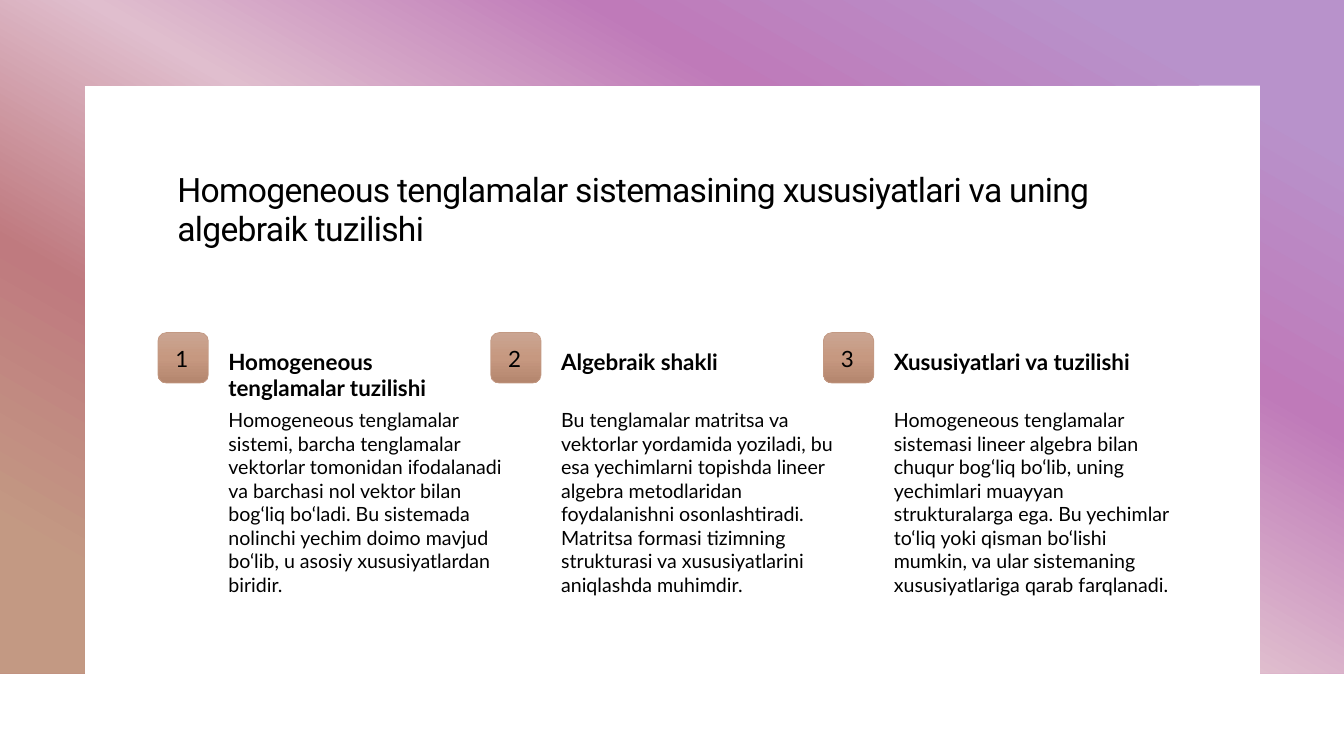
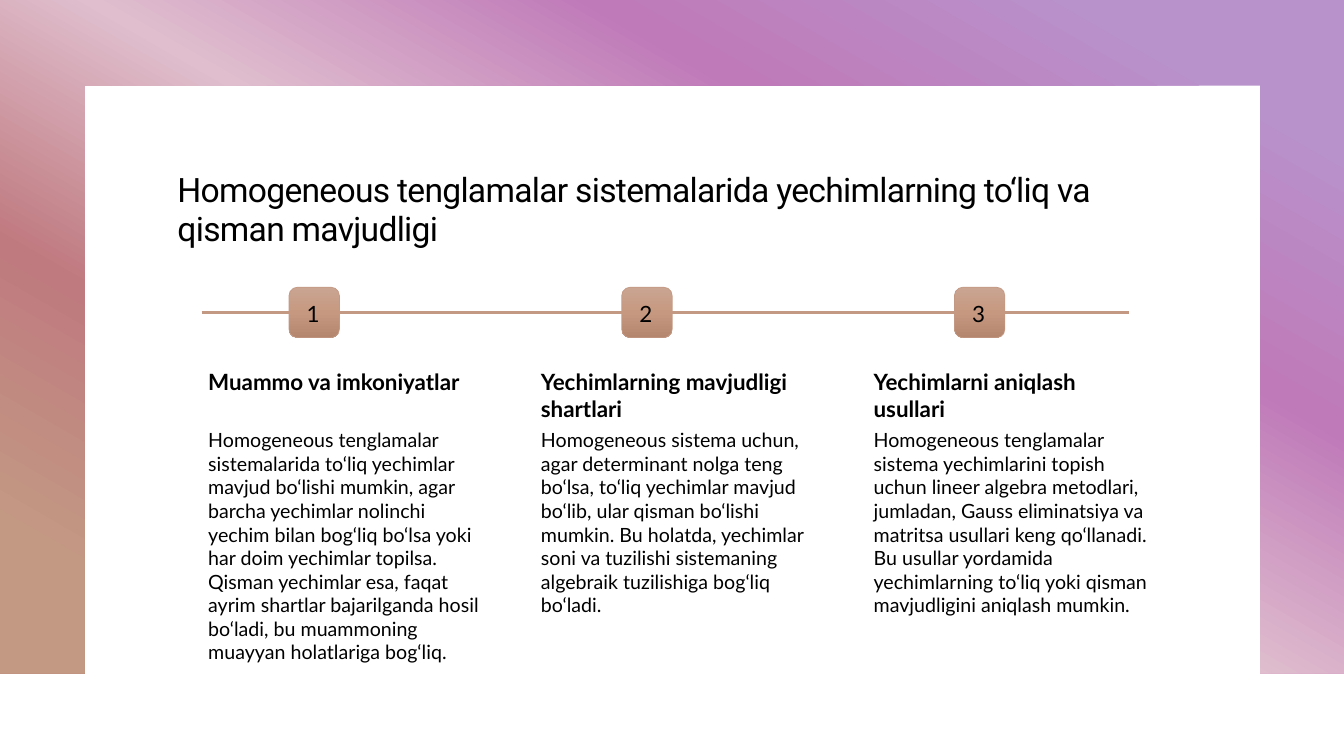
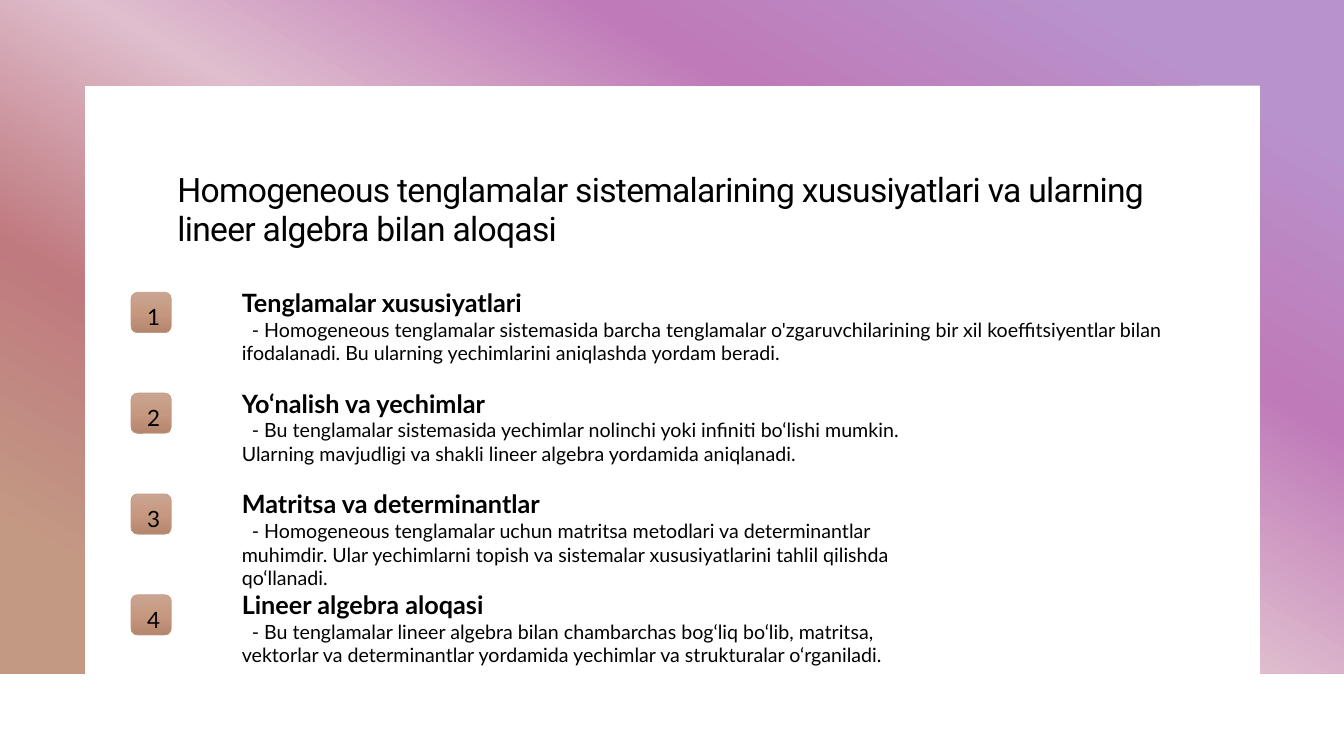
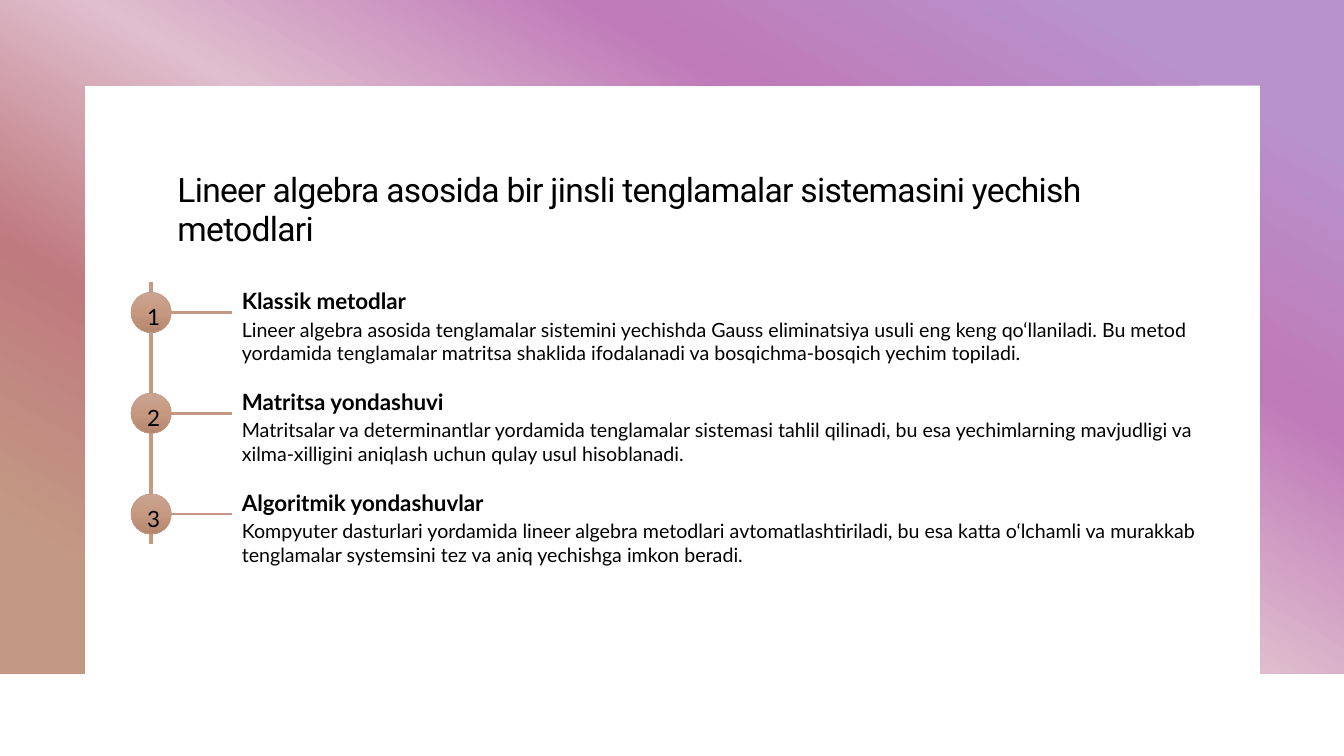
"""Build four slides on homogeneous systems of linear equations."""
from dataclasses import dataclass
from typing import Optional

from lxml.etree import SubElement
from pptx import Presentation
from pptx.dml.color import RGBColor
from pptx.enum.shapes import MSO_CONNECTOR, MSO_SHAPE
from pptx.enum.text import MSO_ANCHOR, MSO_AUTO_SIZE, PP_ALIGN
from pptx.oxml.ns import qn
from pptx.presentation import Presentation as PresentationType
from pptx.shapes.autoshape import Shape
from pptx.slide import Slide, SlideLayout
from pptx.text.text import _Paragraph as Paragraph
from pptx.util import Emu, Inches, Pt

COLOURS = {
    "text": "000000",
    "accent": "C39983",
    "accent_light": "CAA592",
    "accent_mid": "C69880",
    "accent_dark": "B4866E",
    "lilac": "B892CB",
    "orchid": "BF7AB9",
    "blush": "E0BECE",
    "rose": "BF7A7F",
}
FRAME_STOPS = [(10, "lilac"), (30, "orchid"), (50, "blush"), (70, "rose"), (90, "accent")]
MARKER_STOPS = [(0, "accent_light"), (50, "accent_mid"), (100, "accent_dark")]
TITLE_FONT, BODY_FONT = "Roboto", "Lato"
CELL = Inches(0.1)
WIDTH, HEIGHT = Inches(13.33), Inches(7.5)
TITLE_ONLY = 5


@dataclass(frozen=True)
class Arrangement:
    """Places of a numbered series, in grid cells; offsets run from the marker."""

    left: float
    top: float
    step_across: float
    step_down: float
    marker: MSO_SHAPE
    marker_size: float
    offset_across: float
    heading_down: float
    body_down: float
    heading_width: float
    body_width: float
    body_height: float
    heading_points: int = 16
    first_indent: float = 0
    branch_length: float = 0


@dataclass(frozen=True)
class Item:
    """A heading and its explanation."""

    heading: str
    body: str
    body_width: Optional[float] = None


@dataclass(frozen=True)
class Line:
    """A straight line between two grid points."""

    start: tuple[float, float]
    end: tuple[float, float]
    points: float = 2


@dataclass(frozen=True)
class Page:
    """The content of one slide."""

    title: str
    arrangement: Arrangement
    items: list[Item]
    axis: Optional[Line] = None


COLUMNS = Arrangement(15.67, 33, 33, 0, MSO_SHAPE.ROUNDED_RECTANGLE, 5, 6, 1, 7, 27, 30, 20)
TIMELINE = Arrangement(28.67, 28.5, 33, 0, MSO_SHAPE.ROUNDED_RECTANGLE, 5, -9, 7.5, 13.5, 27, 30, 20)
ROWS = Arrangement(13, 29, 0, 10, MSO_SHAPE.ROUNDED_RECTANGLE, 4, 10, -1, 2, 70, 70, 10,
                   heading_points=18, first_indent=1)
BRANCHES = Arrangement(13, 29, 0, 10, MSO_SHAPE.OVAL, 4, 10, -1, 2, 70, 100, 10, branch_length=8)

PAGES = [
    Page("Homogeneous tenglamalar sistemasining xususiyatlari va uning algebraik tuzilishi", COLUMNS, [
        Item("Homogeneous tenglamalar tuzilishi",
             "Homogeneous tenglamalar sistemi, barcha tenglamalar vektorlar tomonidan ifodalanadi va "
             "barchasi nol vektor bilan bog‘liq bo‘ladi. Bu sistemada nolinchi yechim doimo mavjud "
             "bo‘lib, u asosiy xususiyatlardan biridir."),
        Item("Algebraik shakli",
             "Bu tenglamalar matritsa va vektorlar yordamida yoziladi, bu esa yechimlarni topishda "
             "lineer algebra metodlaridan foydalanishni osonlashtiradi. Matritsa formasi tizimning "
             "strukturasi va xususiyatlarini aniqlashda muhimdir."),
        Item("Xususiyatlari va tuzilishi",
             "Homogeneous tenglamalar sistemasi lineer algebra bilan chuqur bog‘liq bo‘lib, uning "
             "yechimlari muayyan strukturalarga ega. Bu yechimlar to‘liq yoki qisman bo‘lishi mumkin, "
             "va ular sistemaning xususiyatlariga qarab farqlanadi."),
    ]),
    Page("Homogeneous tenglamalar sistemalarida yechimlarning to‘liq va qisman mavjudligi", TIMELINE, [
        Item("Muammo va imkoniyatlar",
             "Homogeneous tenglamalar sistemalarida to‘liq yechimlar mavjud bo‘lishi mumkin, agar "
             "barcha yechimlar nolinchi yechim bilan bog‘liq bo‘lsa yoki har doim yechimlar topilsa. "
             "Qisman yechimlar esa, faqat ayrim shartlar bajarilganda hosil bo‘ladi, bu muammoning "
             "muayyan holatlariga bog‘liq."),
        Item("Yechimlarning mavjudligi shartlari",
             "Homogeneous sistema uchun, agar determinant nolga teng bo‘lsa, to‘liq yechimlar mavjud "
             "bo‘lib, ular qisman bo‘lishi mumkin. Bu holatda, yechimlar soni va tuzilishi sistemaning "
             "algebraik tuzilishiga bog‘liq bo‘ladi."),
        Item("Yechimlarni aniqlash usullari",
             "Homogeneous tenglamalar sistema yechimlarini topish uchun lineer algebra metodlari, "
             "jumladan, Gauss eliminatsiya va matritsa usullari keng qo‘llanadi. Bu usullar yordamida "
             "yechimlarning to‘liq yoki qisman mavjudligini aniqlash mumkin."),
    ], Line((20, 31), (112, 31))),
    Page("Homogeneous tenglamalar sistemalarining xususiyatlari va ularning lineer algebra bilan aloqasi", ROWS, [
        Item("Tenglamalar xususiyatlari",
             "- Homogeneous tenglamalar sistemasida barcha tenglamalar o'zgaruvchilarining bir xil "
             "koeffitsiyentlar bilan ifodalanadi. Bu ularning yechimlarini aniqlashda yordam beradi.",
             100),
        Item("Yo‘nalish va yechimlar",
             "- Bu tenglamalar sistemasida yechimlar nolinchi yoki infiniti bo‘lishi mumkin. "
             "Ularning mavjudligi va shakli lineer algebra yordamida aniqlanadi."),
        Item("Matritsa va determinantlar",
             "- Homogeneous tenglamalar uchun matritsa metodlari va determinantlar muhimdir. Ular "
             "yechimlarni topish va sistemalar xususiyatlarini tahlil qilishda qo‘llanadi."),
        Item("Lineer algebra aloqasi",
             "- Bu tenglamalar lineer algebra bilan chambarchas bog‘liq bo‘lib, matritsa, vektorlar "
             "va determinantlar yordamida yechimlar va strukturalar o‘rganiladi."),
    ]),
    Page("Lineer algebra asosida bir jinsli tenglamalar sistemasini yechish metodlari", BRANCHES, [
        Item("Klassik metodlar",
             "Lineer algebra asosida tenglamalar sistemini yechishda Gauss eliminatsiya usuli eng keng "
             "qo‘llaniladi. Bu metod yordamida tenglamalar matritsa shaklida ifodalanadi va "
             "bosqichma-bosqich yechim topiladi."),
        Item("Matritsa yondashuvi",
             "Matritsalar va determinantlar yordamida tenglamalar sistemasi tahlil qilinadi, bu esa "
             "yechimlarning mavjudligi va xilma-xilligini aniqlash uchun qulay usul hisoblanadi."),
        Item("Algoritmik yondashuvlar",
             "Kompyuter dasturlari yordamida lineer algebra metodlari avtomatlashtiriladi, bu esa katta "
             "o‘lchamli va murakkab tenglamalar systemsini tez va aniq yechishga imkon beradi."),
    ], Line((15, 28), (15, 54), 3)),
]


def cells(count: float) -> Emu:
    """Return the length of a number of grid cells."""
    return Emu(round(count * CELL))


def colour(name: str) -> RGBColor:
    """Return a named colour."""
    return RGBColor.from_string(COLOURS[name])


def fill_gradient(shape: Shape, stops: list[tuple[int, str]], angle: int) -> None:
    """Fill a shape with a linear gradient; the angle runs clockwise."""
    shape.fill.gradient()
    gradient = shape.element.spPr.find(qn("a:gradFill"))
    stop_list = gradient.find(qn("a:gsLst"))
    for stop in list(stop_list):
        stop_list.remove(stop)
    for position, name in stops:
        stop = SubElement(stop_list, qn("a:gs"), pos=str(position * 1000))
        SubElement(stop, qn("a:srgbClr"), val=COLOURS[name])
    direction = gradient.find(qn("a:lin"))
    direction.set("ang", str(angle * 60000))
    direction.set("scaled", "0")


def format_font(paragraph: Paragraph, name: str, points: int, bold: bool = False) -> None:
    """Set the font of a whole paragraph."""
    font = paragraph.font
    font.name, font.size, font.bold = name, Pt(points), bold
    font.color.rgb = colour("text")


def clear_footers(layout: SlideLayout) -> None:
    """Remove the unused placeholders of the layout, keeping its title."""
    for placeholder in list(layout.placeholders):
        if placeholder.placeholder_format.idx:
            layout.placeholders.element.remove(placeholder.element)


def add_frame(slide: Slide) -> None:
    """Draw the gradient frame at the back of the slide."""
    bottom = Inches(6.68)
    inner_left, inner_top, inner_right = Inches(0.84), Inches(0.85), Inches(12.5)
    builder = slide.shapes.build_freeform(0, 0)
    builder.add_line_segments([
        (WIDTH, 0), (WIDTH, bottom), (inner_right, bottom), (inner_right, inner_top),
        (inner_left, inner_top), (inner_left, bottom), (0, bottom),
    ])
    frame = builder.convert_to_shape()
    frame.shadow.inherit = False
    frame.line.fill.background()
    fill_gradient(frame, FRAME_STOPS, 120)
    slide.shapes.element.insert(2, frame.element)


def set_title(slide: Slide, text: str) -> None:
    """Place and format the slide title."""
    title = slide.shapes.title
    title.left, title.top = cells(16.6), cells(16.6)
    title.width, title.height = cells(100), cells(14.7)
    frame = title.text_frame
    frame.text = text
    frame.auto_size = MSO_AUTO_SIZE.NONE
    frame.vertical_anchor = MSO_ANCHOR.TOP
    paragraph = frame.paragraphs[0]
    paragraph.alignment = PP_ALIGN.LEFT
    paragraph.line_spacing = 0.95
    format_font(paragraph, TITLE_FONT, 24)
    paragraph._p.pPr.find(qn("a:defRPr")).set("spc", "-50")


def add_text(slide: Slide, text: str, left: float, top: float, width: float, height: float,
             points: int, bold: bool = False, first_indent: float = 0) -> None:
    """Add a wrapping text box that grows with its text."""
    box = slide.shapes.add_textbox(cells(left), cells(top), cells(width), cells(height))
    frame = box.text_frame
    frame.word_wrap = True
    frame.auto_size = MSO_AUTO_SIZE.SHAPE_TO_FIT_TEXT
    paragraph = frame.paragraphs[0]
    paragraph.text = text
    if first_indent:
        properties = paragraph._p.get_or_add_pPr()
        properties.set("marL", "0")
        properties.set("indent", str(cells(first_indent)))
    format_font(paragraph, BODY_FONT, points, bold)


def add_line(slide: Slide, line: Line) -> None:
    """Draw a straight accent line."""
    ends = [cells(value) for value in (*line.start, *line.end)]
    connector = slide.shapes.add_connector(MSO_CONNECTOR.STRAIGHT, *ends)
    connector.line.color.rgb = colour("accent")
    connector.line.width = Pt(line.points)
    SubElement(connector.element.spPr, qn("a:effectLst"))


def add_marker(slide: Slide, number: int, left: float, top: float, arrangement: Arrangement) -> None:
    """Draw a numbered marker."""
    size = arrangement.marker_size
    marker = slide.shapes.add_shape(arrangement.marker, cells(left), cells(top), cells(size), cells(size))
    marker.shadow.inherit = False
    fill_gradient(marker, MARKER_STOPS, 90)
    marker.line.color.rgb = colour("accent")
    marker.line.width = Pt(0.5)
    inset, side = size * 0.15, size * 0.7
    add_text(slide, str(number), left + inset, top + inset, side, side, 16)


def add_item(slide: Slide, index: int, item: Item, arrangement: Arrangement) -> None:
    """Draw one marker with its branch, heading and body."""
    left = arrangement.left + index * arrangement.step_across
    top = arrangement.top + index * arrangement.step_down
    if arrangement.branch_length:
        middle = arrangement.marker_size / 2
        start = (left + middle, top + middle)
        add_line(slide, Line(start, (start[0] + arrangement.branch_length, start[1])))
    add_marker(slide, index + 1, left, top, arrangement)
    text_left = left + arrangement.offset_across
    add_text(slide, item.heading, text_left, top + arrangement.heading_down,
             arrangement.heading_width, 3, arrangement.heading_points, bold=True)
    add_text(slide, item.body, text_left, top + arrangement.body_down,
             item.body_width or arrangement.body_width, arrangement.body_height, 14,
             first_indent=arrangement.first_indent)


def add_page(presentation: PresentationType, layout: SlideLayout, page: Page) -> None:
    """Add a slide with its frame, title, axis and items."""
    slide = presentation.slides.add_slide(layout)
    add_frame(slide)
    set_title(slide, page.title)
    if page.axis:
        add_line(slide, page.axis)
    for index, item in enumerate(page.items):
        add_item(slide, index, item, page.arrangement)


def main() -> None:
    """Build and save the presentation."""
    presentation = Presentation()
    presentation.slide_width, presentation.slide_height = WIDTH, HEIGHT
    layout = presentation.slide_layouts[TITLE_ONLY]
    clear_footers(layout)
    for page in PAGES:
        add_page(presentation, layout, page)
    presentation.save("out.pptx")


if __name__ == "__main__":
    main()
